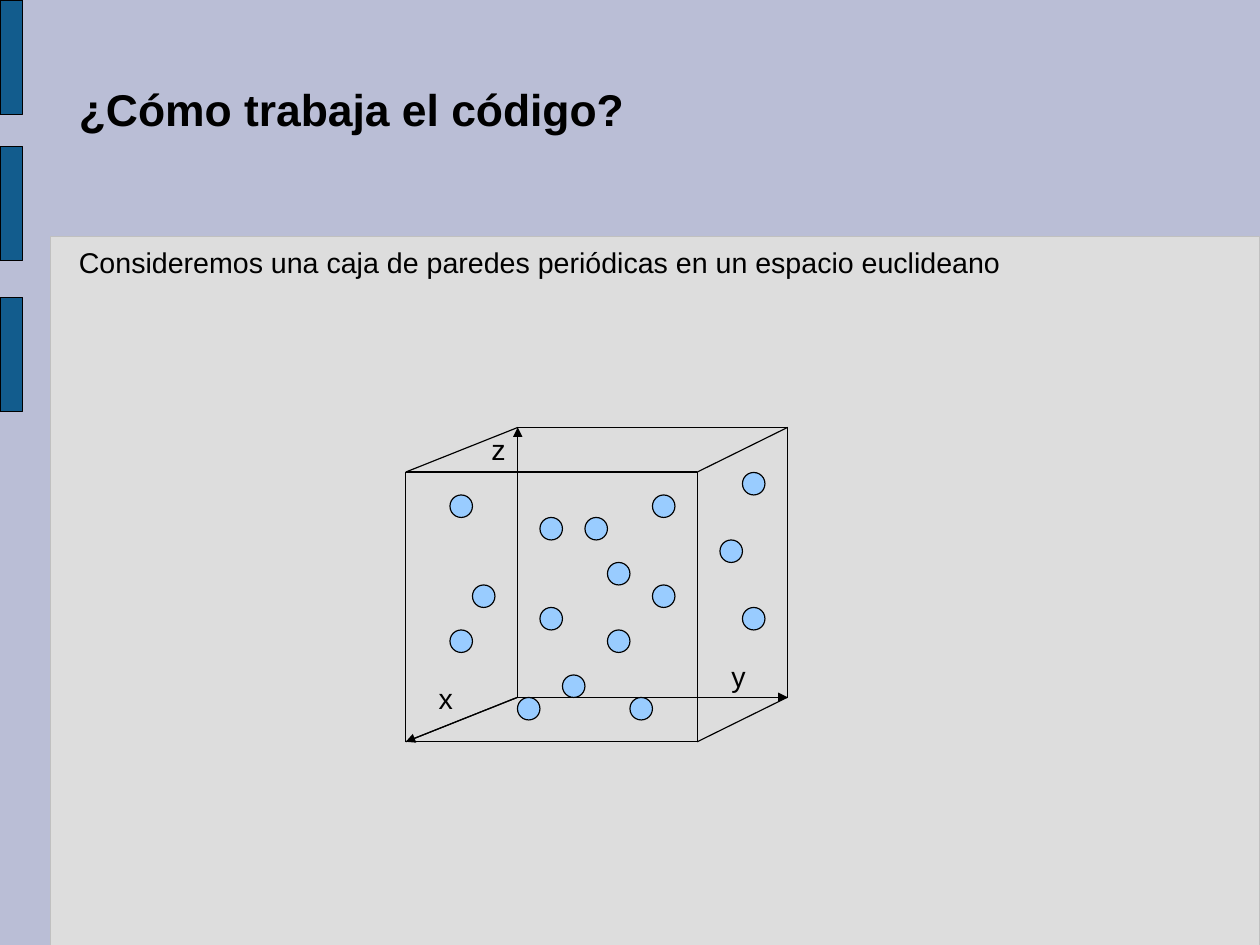
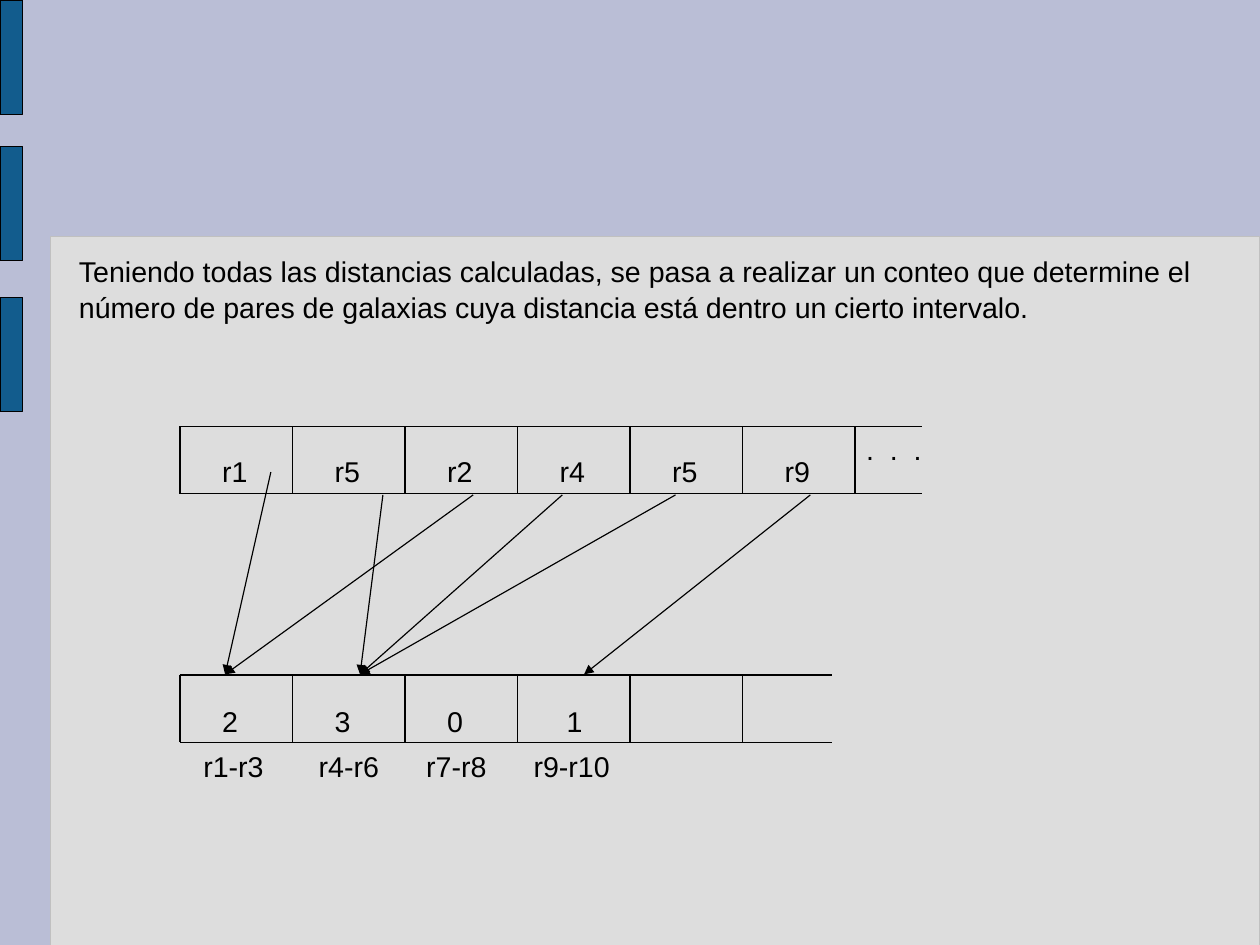
from lxml import etree
from pptx import Presentation
from pptx.dml.color import RGBColor
from pptx.enum import dml, shapes, text
from pptx.oxml import ns
from pptx.util import Cm, Inches, Pt

# Shared style
BACKGROUND = RGBColor(0xBA, 0xBE, 0xD6)
PANEL = RGBColor(0xDD, 0xDD, 0xDD)
PANEL_EDGE = RGBColor(0xC0, 0xC0, 0xC0)
BAR = RGBColor(0x12, 0x5C, 0x8D)
GALAXY = RGBColor(0x99, 0xCC, 0xFF)
BLACK = RGBColor(0, 0, 0)
FONT = "Arial"
LINE_WIDTH = 0.75
LINE_SPACING = 1.04

# Galaxy positions, in steps of a half-centimetre grid
GRID = 0.5 / 2.54
GALAXIES = [(26, 23), (20, 22), (24, 27), (20, 28), (29, 26), (29, 22),
            (28, 31), (27, 28), (23, 31), (24, 23), (21, 26), (27, 25),
            (25, 30), (32, 24), (33, 21), (33, 27)]

# Rows of cells, on the same grid
ROW_LEFT, CELL_W, CELL_H = 8 * GRID, 5 * GRID, 3 * GRID
DISTANCES_TOP, COUNTS_TOP = 3.73, 30 * GRID
INTERVAL_TABS = (0.7, 1.71, 2.65, 3.59)


def add_shape(s, kind, box, fill, edge=BLACK):
    sp = s.shapes.add_shape(kind, *map(Inches, box))
    sp.shadow.inherit = False
    sp.fill.solid()
    sp.fill.fore_color.rgb = fill
    sp.line.color.rgb = edge
    sp.line.width = Pt(LINE_WIDTH)
    return sp


def add_line(s, start, end, arrow=False, dash=None):
    c = s.shapes.add_connector(shapes.MSO_CONNECTOR.STRAIGHT,
                               *map(Inches, (*start, *end)))
    c.line.color.rgb = BLACK
    c.line.width = Pt(LINE_WIDTH)
    if dash:
        c.line.dash_style = dash
    if arrow:
        ln = c.line._get_or_add_ln()
        etree.SubElement(ln, ns.qn("a:tailEnd"), type="triangle")
    etree.SubElement(c.element.spPr, ns.qn("a:effectLst"))


def write(tf, content, size=18, bold=False):
    tf.word_wrap = True
    tf.auto_size = text.MSO_AUTO_SIZE.NONE
    tf.vertical_anchor = text.MSO_ANCHOR.TOP
    p = tf.paragraphs[0]
    p.alignment = text.PP_ALIGN.LEFT
    p.line_spacing = LINE_SPACING
    p.space_before = Pt(0)
    r = p.add_run()
    r.text = content
    r.font.name = FONT
    r.font.size = Pt(size)
    r.font.bold = bold
    r.font.color.rgb = BLACK
    return p


def add_label(s, left, top, content, width=0.6):
    box = s.shapes.add_textbox(*map(Inches, (left, top, width, 0.41)))
    return write(box.text_frame, content)


def place(sp, box):
    sp.left, sp.top, sp.width, sp.height = map(Inches, box)


def add_slide(prs, title, body, body_top):
    s = prs.slides.add_slide(prs.slide_layouts[1])
    title_sp, body_sp = s.placeholders
    if title:
        place(title_sp, (0.59, 0.65, 9.65, 0.6))
        write(title_sp.text_frame, title, 28, True)
    else:
        title_sp.element.getparent().remove(title_sp.element)
    place(body_sp, (0.59, body_top, 10.04, 0.72))
    pPr = write(body_sp.text_frame, body)._p.get_or_add_pPr()
    pPr.set("marL", "0")
    pPr.set("indent", "0")
    etree.SubElement(pPr, ns.qn("a:buNone"))
    return s


def decorate_master(prs, s):
    """Build the panel and side bars, then move them to the master."""
    master = prs.slide_master
    master.background.fill.solid()
    master.background.fill.fore_color.rgb = BACKGROUND
    rect = shapes.MSO_SHAPE.RECTANGLE
    parts = [add_shape(s, rect, (0.44, 2.07, 10.58, 6.2), PANEL, PANEL_EDGE)]
    parts += [add_shape(s, rect, (0, top, 0.2, 1), BAR)
              for top in (0, 1.28, 2.6)]
    for i, sp in enumerate(parts):
        sp.element.nvSpPr.cNvPr.set("id", str(100 + i))
        master.shapes.element.insert(2 + i, sp.element)


def corners(left, top, right, bottom):
    return [(left, top), (right, top), (right, bottom), (left, bottom)]


def add_box_of_galaxies(s):
    # Box edges
    front = corners(3.55, 4.13, 6.1, 6.49)
    back = corners(4.53, 3.74, 6.89, 6.1)
    for i in range(4):
        for face in (front, back):
            add_line(s, face[i], face[(i + 1) % 4])
        add_line(s, front[i], back[i])
    # Galaxies
    for col, row in GALAXIES:
        add_shape(s, shapes.MSO_SHAPE.OVAL,
                  (col * GRID, row * GRID, GRID, GRID), GALAXY)
    # Axes from the back lower left corner
    origin = back[3]
    add_line(s, origin, back[0], True, dml.MSO_LINE.ROUND_DOT)
    add_line(s, origin, back[2], True)
    add_line(s, origin, front[3], True)
    for name, left, top in (("x", 3.74, 5.9), ("y", 6.3, 5.7),
                            ("z", 4.2, 3.72)):
        add_label(s, left, top, name, 0.4)


def add_cell_row(s, top, right, dividers, values, label_drop):
    """Draw a row of cells that is open at the right."""
    for y in (top, top + CELL_H):
        add_line(s, (ROW_LEFT, y), (right, y))
    for i in range(dividers):
        x = ROW_LEFT + i * CELL_W
        add_line(s, (x, top), (x, top + CELL_H))
    for i, value in enumerate(values):
        add_label(s, ROW_LEFT + i * CELL_W + 0.27, top + label_drop, value)


def add_intervals(s):
    """Write the intervals under the counts, each at a tab stop."""
    p = add_label(s, 0.98, 6.49, "\tr1-r3\tr4-r6\tr7-r8\tr9-r10", 7.09)
    tabs = etree.SubElement(p._p.get_or_add_pPr(), ns.qn("a:tabLst"))
    for pos in INTERVAL_TABS:
        etree.SubElement(tabs, ns.qn("a:tab"), pos=str(Inches(pos)), algn="l")


def add_pair_count(s):
    add_cell_row(s, DISTANCES_TOP, 8.07, 7,
                 ["r1", "r5", "r2", "r4", "r5", "r9"], 0.18)
    dots = add_label(s, 7.48, 3.72, ". . .", 1.18)
    dots.runs[0].font._element.set("spc", "250")
    add_cell_row(s, COUNTS_TOP, 7.28, 6, ["2", "3", "0"], 0.19)
    add_label(s, 4.86, COUNTS_TOP + 0.19, "1")
    add_intervals(s)
    # Each distance points to its interval
    row_bottom = 4.33
    for x, y, target in ((2.37, 4.13, 1.97), (4.14, row_bottom, 1.97),
                         (3.35, row_bottom, 3.15), (4.92, row_bottom, 3.15),
                         (5.91, row_bottom, 3.15), (7.09, row_bottom, 5.11)):
        add_line(s, (x, y), (target, 5.9), True)


def main():
    prs = Presentation()
    prs.slide_width, prs.slide_height = Cm(28), Cm(21)

    # Slide 1: box of galaxies
    s = add_slide(prs, "¿Cómo trabaja el código?",
                  "Consideremos una caja de paredes periódicas en un espacio "
                  "euclideano", 2.08)
    decorate_master(prs, s)
    add_box_of_galaxies(s)

    # Slide 2: count of pairs by distance
    s = add_slide(prs, None,
                  "Teniendo todas las distancias calculadas, se pasa a realizar "
                  "un conteo que determine el número de pares de galaxias cuya "
                  "distancia está dentro un cierto intervalo.", 2.16)
    add_pair_count(s)

    prs.save("out.pptx")


if __name__ == "__main__":
    main()
